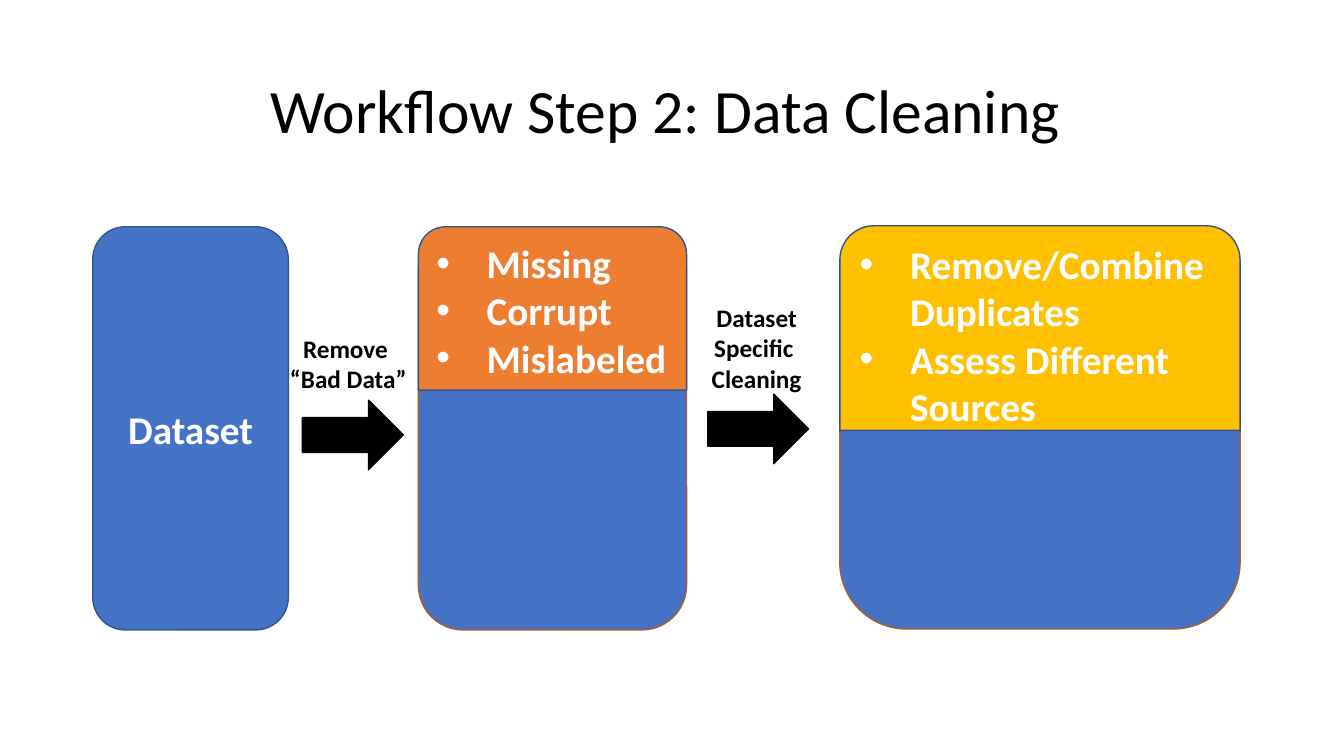
from lxml import etree
from pptx import Presentation
from pptx.dml.color import RGBColor
from pptx.enum.shapes import MSO_SHAPE
from pptx.enum.text import MSO_ANCHOR, PP_ALIGN
from pptx.oxml.ns import qn
from pptx.util import Inches, Pt

ROUNDED = MSO_SHAPE.ROUNDED_RECTANGLE
ROUNDED_TOP = MSO_SHAPE.ROUND_2_SAME_RECTANGLE
RIGHT_ARROW = MSO_SHAPE.RIGHT_ARROW
TOP, MIDDLE = MSO_ANCHOR.TOP, MSO_ANCHOR.MIDDLE
LEFT, CENTER = PP_ALIGN.LEFT, PP_ALIGN.CENTER

BLACK = RGBColor(0x00, 0x00, 0x00)
WHITE = RGBColor(0xFF, 0xFF, 0xFF)
BLUE = RGBColor(0x44, 0x72, 0xC4)
DARK_BLUE = RGBColor(0x32, 0x54, 0x91)
ORANGE = RGBColor(0xED, 0x7D, 0x31)
BROWN = RGBColor(0xAF, 0x5C, 0x24)
GOLD = RGBColor(0xFF, 0xC0, 0x00)

FONT = "Calibri"
STAGE_HEIGHT = 4
LABEL_WIDTH = 2.53


def write_lines(frame, lines, size, color, align, anchor, bold=True):
    frame.word_wrap = True
    frame.vertical_anchor = anchor
    for index, line in enumerate(lines):
        paragraph = frame.add_paragraph() if index else frame.paragraphs[0]
        paragraph.alignment = align
        run = paragraph.add_run()
        run.text = line
        run.font.name = FONT
        run.font.size = Pt(size)
        run.font.bold = bold
        run.font.color.rgb = color


def add_bullets(frame):
    for paragraph in frame.paragraphs:
        properties = paragraph._p.get_or_add_pPr()
        properties.set("marL", str(Inches(0.5)))
        properties.set("indent", str(Inches(-0.5)))
        etree.SubElement(properties, qn("a:buFont")).set("typeface", "Arial")
        etree.SubElement(properties, qn("a:buChar")).set("char", "•")


def add_block(slide, preset, left, top, width, height, fill, outline):
    block = slide.shapes.add_shape(
        preset, Inches(left), Inches(top), Inches(width), Inches(height))
    block.shadow.inherit = False
    block.fill.solid()
    block.fill.fore_color.rgb = fill
    block.line.color.rgb = outline
    block.line.width = Pt(1)
    return block


def add_title(slide, left, top, width, height):
    title = slide.shapes.title
    title.left, title.top = Inches(left), Inches(top)
    title.width, title.height = Inches(width), Inches(height)
    write_lines(title.text_frame, ["Workflow Step 2: Data Cleaning "],
                44, BLACK, CENTER, MIDDLE, bold=False)
    title.text_frame.paragraphs[0].line_spacing = 0.9


def add_dataset(slide, left, top, width):
    dataset = add_block(slide, ROUNDED, left, top, width, STAGE_HEIGHT,
                        BLUE, DARK_BLUE)
    write_lines(dataset.text_frame, ["Dataset"], 28, WHITE, CENTER, MIDDLE)


def add_cleaning_stage(slide, left, top, width, issues_height, fill, issues):
    add_block(slide, ROUNDED, left, top, width, STAGE_HEIGHT, BLUE, BROWN)
    issues_panel = add_block(slide, ROUNDED_TOP, left, top, width,
                             issues_height, fill, DARK_BLUE)
    write_lines(issues_panel.text_frame, issues, 28, WHITE, LEFT, TOP)
    add_bullets(issues_panel.text_frame)


def add_transition(slide, left, top, label_left, label_height, lines):
    add_block(slide, RIGHT_ARROW, left, top, 1, 0.69, BLACK, BLACK)
    label_top = top - 0.71 if len(lines) == 2 else top - 0.96
    label = slide.shapes.add_textbox(
        Inches(label_left), Inches(label_top),
        Inches(LABEL_WIDTH), Inches(label_height))
    write_lines(label.text_frame, lines, 18, BLACK, CENTER, TOP)


def build_slide(presentation):
    slide = presentation.slides.add_slide(presentation.slide_layouts[5])
    add_title(slide, 0.92, 0.4, 11.5, 1.45)
    add_dataset(slide, 0.92, 2.25, 1.94)
    add_cleaning_stage(slide, 4.15, 2.25, 2.66, 1.62, ORANGE,
                       ["Missing", "Corrupt", "Mislabeled"])
    add_transition(slide, 3, 3.97, 2.19, 0.71, ["Remove ", "“Bad Data”"])
    add_transition(slide, 7.02, 3.91, 6.24, 1.01,
                   ["Dataset", "Specific ", "Cleaning"])
    add_cleaning_stage(slide, 8.33, 2.24, 3.97, 2.03, GOLD,
                       ["Remove/Combine Duplicates",
                        "Assess Different Sources"])


def main():
    presentation = Presentation()
    presentation.slide_width = Inches(13.33)
    presentation.slide_height = Inches(7.5)
    build_slide(presentation)
    presentation.save("out.pptx")


if __name__ == "__main__":
    main()
